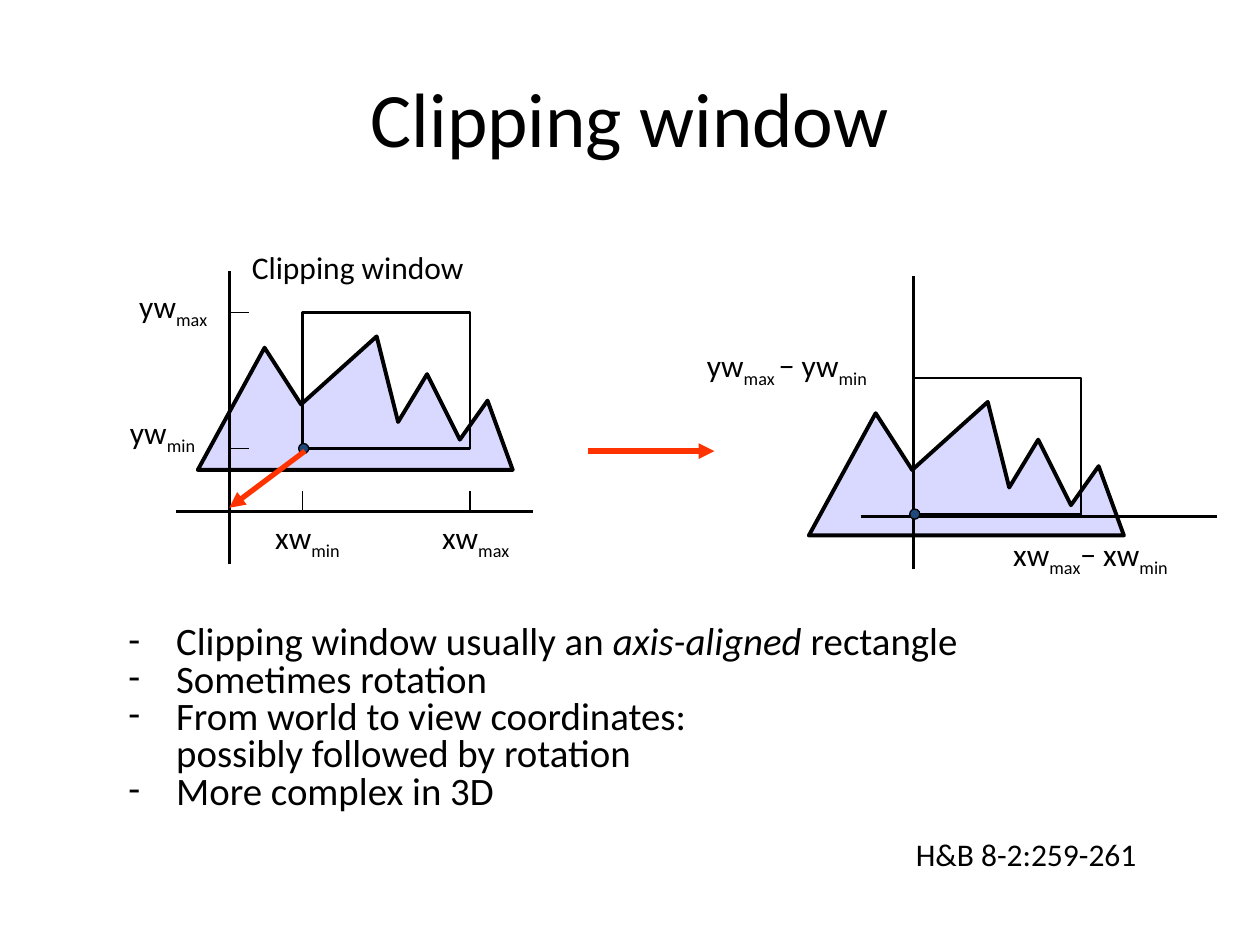
from lxml.etree import SubElement
from pptx import Presentation
from pptx.dml.color import RGBColor
from pptx.enum.shapes import MSO_CONNECTOR, MSO_SHAPE
from pptx.enum.text import MSO_ANCHOR, PP_ALIGN
from pptx.oxml.ns import qn
from pptx.util import Inches, Pt

BLACK, RED, LILAC, NAVY = "000000", "FF3300", "D9D9FF", "1F497D"
WIN_W, WIN_H = 1.33, 1.08
TICK = 0.16
RIDGE = [(0, 1.06), (0.53, 0.09), (0.82, 0.54), (1.42, 0), (1.59, 0.68),
         (1.82, 0.3), (2.08, 0.82), (2.3, 0.51), (2.5, 1.06)]


def rgb(value):
    """Turn a hex string into a colour."""
    return RGBColor.from_string(value)


def style(sp, width, fill=None):
    """Give a shape a black outline and a plain fill or none."""
    sp.shadow.inherit = False
    sp.line.color.rgb = rgb(BLACK)
    sp.line.width = Pt(width)
    if fill:
        sp.fill.solid()
        sp.fill.fore_color.rgb = rgb(fill)
    else:
        sp.fill.background()


def add_line(s, x1, y1, x2, y2, width, color=BLACK, arrow=False):
    """Draw a straight line, with an arrowhead at its end if asked."""
    line = s.shapes.add_connector(MSO_CONNECTOR.STRAIGHT, Inches(x1), Inches(y1),
                                  Inches(x2), Inches(y2))
    line.line.color.rgb = rgb(color)
    line.line.width = Pt(width)
    if arrow:
        SubElement(line.line._get_or_add_ln(), qn("a:tailEnd"), type="triangle")
    SubElement(line._element.spPr, qn("a:effectLst"))


def add_run(p, text, size, italic=None, baseline=None):
    """Add one formatted run to a paragraph."""
    r = p.add_run()
    r.text = text
    r.font.name = "Calibri"
    r.font.size = Pt(size)
    r.font.color.rgb = rgb(BLACK)
    r.font.italic = italic
    if baseline:
        r._r.get_or_add_rPr().set("baseline", str(baseline))


def add_box(s, x, y, w, h, wrap=True):
    """Add a text box and return its text frame."""
    tf = s.shapes.add_textbox(Inches(x), Inches(y), Inches(w), Inches(h)).text_frame
    tf.word_wrap = wrap
    return tf


def add_label(s, x, y, w, parts):
    """Write a centred label whose every second part is a subscript."""
    p = add_box(s, x, y, w, 0.5, wrap=False).paragraphs[0]
    p.alignment = PP_ALIGN.CENTER
    for i, part in enumerate(parts):
        add_run(p, part, 18, baseline=-25000 if i % 2 else None)


def add_mountains(s, x, y):
    """Draw the mountain ridge from its top left corner."""
    points = [(Inches(x + dx), Inches(y + dy)) for dx, dy in RIDGE]
    builder = s.shapes.build_freeform(*points[0])
    builder.add_line_segments(points[1:], close=True)
    style(builder.convert_to_shape(), 2.25, LILAC)


def add_axes(s, x, y):
    """Draw the two axes that cross at the given origin."""
    add_line(s, x - 0.42, y, x + 2.41, y, 1.5)
    add_line(s, x, y + 0.42, x, y - 1.91, 1.5)


def add_scene(s, window, origin, x_ticks, y_ticks):
    """Draw mountains, axes, ticks, clipping window and its corner dot."""
    x, y = window
    ox, oy = origin
    add_mountains(s, x - 0.83, y + 0.19)
    add_axes(s, ox, oy)
    for tx in x_ticks:
        add_line(s, tx, oy - TICK, tx, oy, 0.75)
    for ty in y_ticks:
        add_line(s, ox, ty, ox + TICK, ty, 0.75)
    rect = s.shapes.add_shape(MSO_SHAPE.RECTANGLE, Inches(x), Inches(y),
                              Inches(WIN_W), Inches(WIN_H))
    style(rect, 1.5)
    dot = s.shapes.add_shape(MSO_SHAPE.OVAL, Inches(x - 0.03), Inches(y + WIN_H - 0.04),
                             Inches(0.08), Inches(0.08))
    style(dot, 0.75, NAVY)


def add_world_view(s, x, y):
    """Draw the window in world coordinates."""
    right, bottom = x + WIN_W, y + WIN_H
    add_scene(s, (x, y), (x - 0.58, y + 1.58), (x, right), (y, bottom))
    add_label(s, x - 0.42, y + 1.58, 0.92, ("xw", "min"))
    add_label(s, x + 0.9, y + 1.58, 0.95, ("xw", "max"))
    add_label(s, x - 1.5, y - 0.25, 0.95, ("yw", "max"))
    add_label(s, x - 1.57, y + 0.75, 0.92, ("yw", "min"))
    add_run(add_box(s, x - 0.5, y - 0.56, 2.58, 0.5).paragraphs[0], "Clipping window", 18)
    add_line(s, x + 0.02, bottom + 0.02, x - 0.58, y + 1.55, 3, RED, arrow=True)


def add_translated_view(s, x, y):
    """Draw the window moved to the origin."""
    add_scene(s, (x, y), (x, y + 1.1), (x + WIN_W,), ())
    add_label(s, x + 0.43, y + 1.2, 1.95, ("xw", "max", "− xw", "min"))
    add_label(s, x - 2.01, y - 0.3, 2.01, ("yw", "max ", "− yw", "min"))


def add_bullets(s, x, y, w, h):
    """Write the dash list; an entry without a dash continues the one above."""
    items = [
        (True, ["Clipping window usually an ", "axis-aligned ", "rectangle"]),
        (True, ["Sometimes rotation"]),
        (True, ["From world to view coordinates:"]),
        (False, ["possibly followed by rotation"]),
        (True, ["More complex in 3D"]),
    ]
    tf = add_box(s, x, y, w, h)
    for i, (dash, parts) in enumerate(items):
        p = tf.paragraphs[0] if i == 0 else tf.add_paragraph()
        p.line_spacing = 0.8
        pPr = p._p.get_or_add_pPr()
        pPr.set("marL", str(Inches(0.38)))
        pPr.set("indent", str(Inches(-0.38 if dash else 0)))
        if dash:
            SubElement(pPr, qn("a:buFont"), typeface="Calibri")
            SubElement(pPr, qn("a:buChar"), char="-")
        for j, part in enumerate(parts):
            add_run(p, part, 22.2, italic=j == 1)


def set_title(s, x, y, w, h):
    """Place and format the slide title."""
    title = s.shapes.title
    title.left, title.top = Inches(x), Inches(y)
    title.width, title.height = Inches(w), Inches(h)
    tf = title.text_frame
    tf.vertical_anchor = MSO_ANCHOR.MIDDLE
    p = tf.paragraphs[0]
    p.alignment = PP_ALIGN.CENTER
    add_run(p, "Clipping window", 44)


def main():
    """Build the slide and save it."""
    prs = Presentation()
    prs.slide_width, prs.slide_height = Inches(10), Inches(7.5)
    s = prs.slides.add_slide(prs.slide_layouts[5])
    set_title(s, 0.5, 0.3, 9, 1.25)
    add_world_view(s, 2.4, 2.48)
    add_translated_view(s, 7.25, 3)
    add_line(s, 4.67, 3.58, 5.67, 3.58, 3, RED, arrow=True)
    add_bullets(s, 0.92, 4.92, 8.33, 1.67)
    source = add_box(s, 7.17, 6.58, 2.68, 0.5, wrap=False)
    add_run(source.paragraphs[0], "H&B 8-2:259-261", 18)


    prs.save("out.pptx")


if __name__ == "__main__":
    main()
